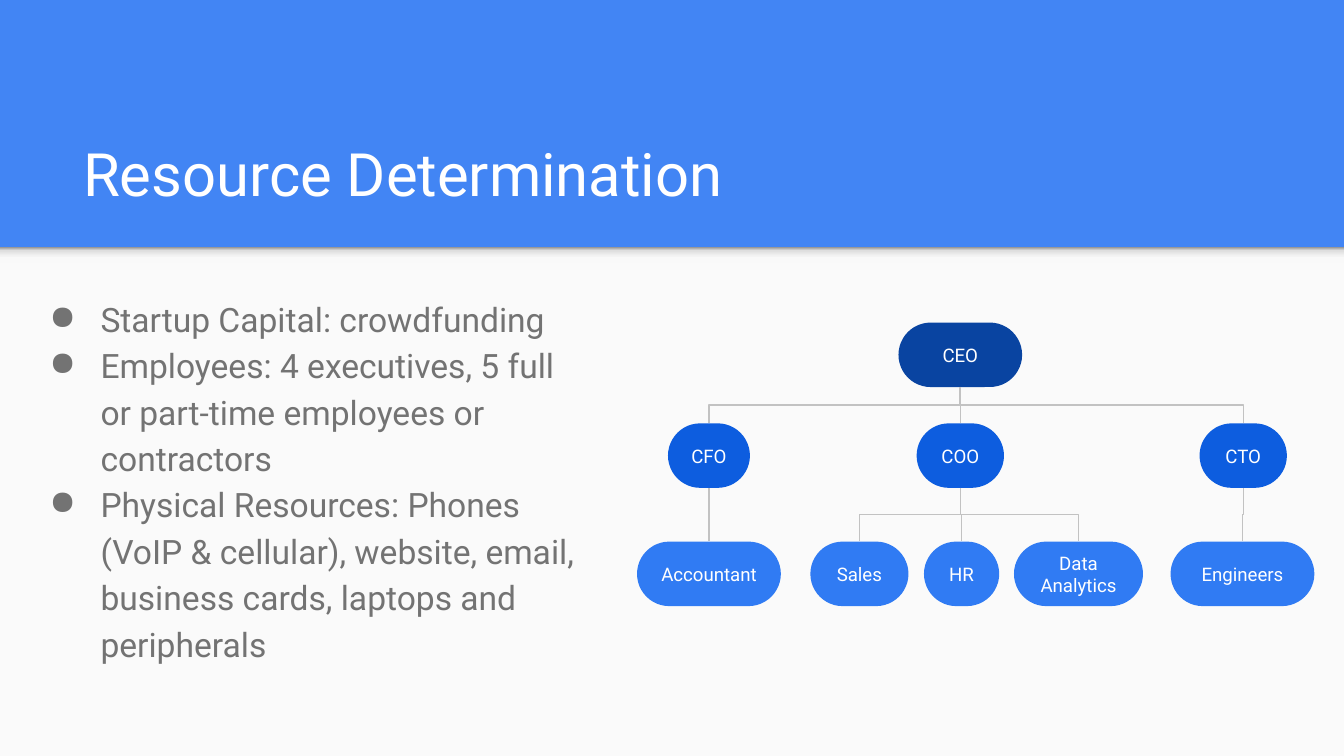
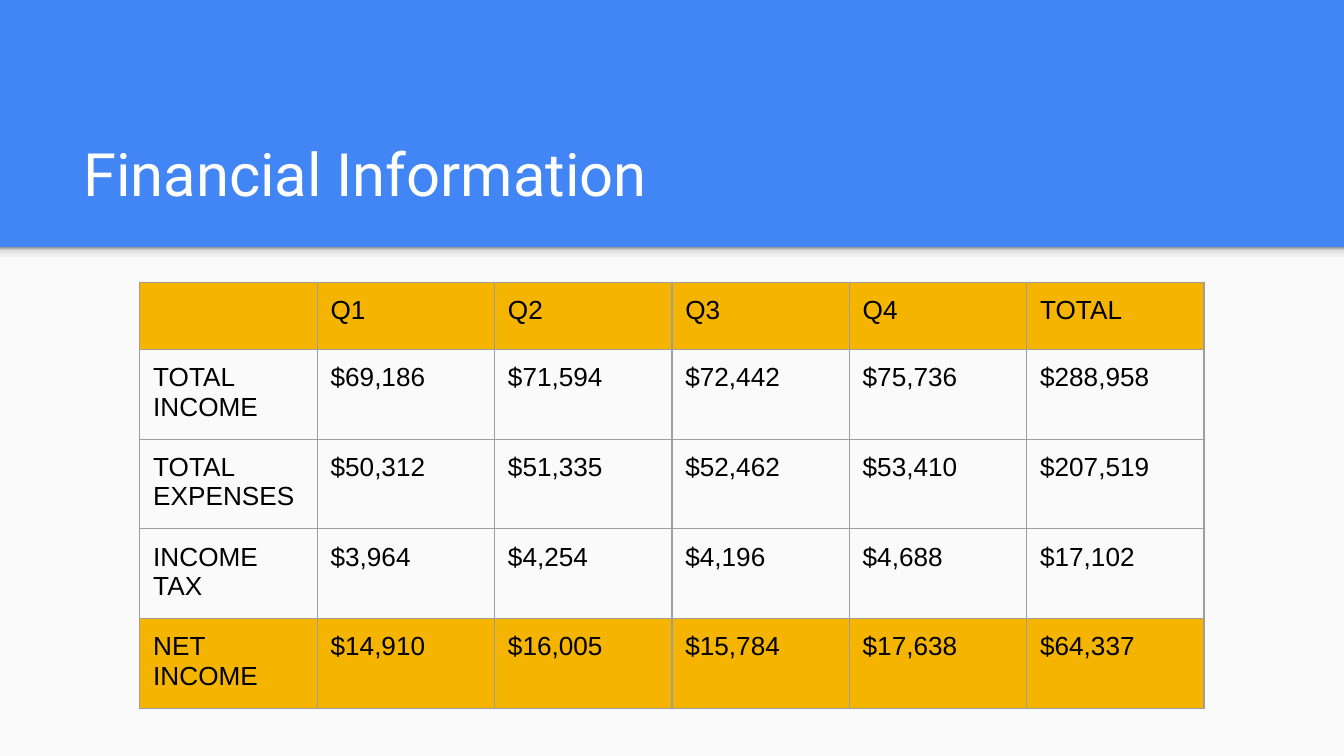
from lxml import etree
from pptx import Presentation
from pptx.dml.color import RGBColor
from pptx.enum.shapes import MSO_CONNECTOR, MSO_SHAPE
from pptx.enum.text import MSO_ANCHOR, PP_ALIGN
from pptx.oxml.ns import qn
from pptx.util import Inches, Pt

RECTANGLE, PILL = MSO_SHAPE.RECTANGLE, MSO_SHAPE.ROUNDED_RECTANGLE
ELBOW = MSO_CONNECTOR.ELBOW
TOP, MIDDLE, BOTTOM = MSO_ANCHOR.TOP, MSO_ANCHOR.MIDDLE, MSO_ANCHOR.BOTTOM
LEFT, CENTER = PP_ALIGN.LEFT, PP_ALIGN.CENTER

# Grid: 100 columns across, square cells, 16:9 slide
UNIT = Inches(0.1)
WIDTH = 100 * UNIT
HEIGHT = WIDTH * 9 // 16
BAND_BOTTOM = 18.4

BLUE, PAPER, WHITE, GREY = "4285F4", "FAFAFA", "FFFFFF", "737373"
GOLD, BORDER, CONNECTOR_GREY = "F4B400", "9E9E9E", "C2C2C2"
SHADOW_STOPS = [(0, "F9F9F9"), (36, "F9F9F9"), (80, "DEDEDE"), (100, "999999")]


def color(value):
    return RGBColor.from_string(value)


def write(frame, lines, anchor, align, size, name, ink):
    layout = {"word_wrap": True, "vertical_anchor": anchor, "margin_left": UNIT,
              "margin_right": UNIT, "margin_top": UNIT, "margin_bottom": UNIT}
    for key, value in layout.items():
        setattr(frame, key, value)
    for number, line in enumerate(lines):
        para = frame.add_paragraph() if number else frame.paragraphs[0]
        para.alignment = align
        span = para.add_run()
        span.text = line
        for key, value in {"size": Pt(size), "name": name}.items():
            setattr(span.font, key, value)
        span.font.color.rgb = color(ink)


deck = Presentation()
deck.slide_width, deck.slide_height = WIDTH, HEIGHT

# Shared look: blue band, paper area, soft shadow, title
pages = []
for title in ["Resource Determination", "Financial Information"]:
    page = deck.slides.add_slide(deck.slide_layouts[6])
    page.background.fill.solid()
    page.background.fill.fore_color.rgb = color(BLUE)
    edge = int(BAND_BOTTOM * UNIT)
    paper = page.shapes.add_shape(RECTANGLE, 0, edge, WIDTH, HEIGHT - edge)
    paper.fill.solid()
    paper.fill.fore_color.rgb = color(PAPER)
    shade = page.shapes.add_shape(RECTANGLE, 0, edge, WIDTH, int(1.2 * UNIT))
    shade.fill.gradient()
    shade.fill.gradient_angle = 90
    stops = next(shade._element.spPr.iter(qn("a:gsLst")))
    for stop in list(stops):
        stops.remove(stop)
    for share, tone in SHADOW_STOPS:
        stop = etree.SubElement(stops, qn("a:gs"), pos=str(share * 1000))
        etree.SubElement(stop, qn("a:srgbClr"), val=tone)
    for part in (paper, shade):
        part.line.fill.background()
        part.shadow.inherit = False
    box = page.shapes.add_textbox(int(5.2 * UNIT), int(8.1 * UNIT),
                                  int(89.9 * UNIT), int(8.4 * UNIT))
    write(box.text_frame, [title], BOTTOM, LEFT, 32, "Roboto", WHITE)
    pages.append(page)
resources, finances = pages

# Resource list
box = resources.shapes.add_textbox(int(1.5 * UNIT), int(20.8 * UNIT),
                                   int(42.6 * UNIT), int(29.6 * UNIT))
write(box.text_frame, [
    "Startup Capital: crowdfunding",
    "Employees: 4 executives, 5 full or part-time employees or contractors",
    "Physical Resources: Phones (VoIP & cellular), website, email, "
    "business cards, laptops and peripherals",
], TOP, LEFT, 18, "Roboto", GREY)
for para in box.text_frame.paragraphs:
    para.line_spacing = 1.15
    properties = para._p.get_or_add_pPr()
    properties.set("marL", str(5 * UNIT))
    properties.set("indent", str(-int(3.8 * UNIT)))
    bullet_color = etree.SubElement(properties, qn("a:buClr"))
    etree.SubElement(bullet_color, qn("a:srgbClr"), val=GREY)
    etree.SubElement(properties, qn("a:buChar"), char="●")

# Organisation chart: level top and fill, then role, centre, width, manager
LEVELS = [
    (24, "0944A1", [("CEO", 71.45, 9.2, None)]),
    (31.5, "0D5DDF", [("CFO", 52.75, 6.1, "CEO"), ("COO", 71.45, 6.5, "CEO"),
                      ("CTO", 92.5, 6.5, "CEO")]),
    (40.3, "307BF3", [("Accountant", 52.75, 10.7, "CFO"), ("Sales", 63.95, 7.3, "COO"),
                      ("HR", 71.55, 5.6, "COO"), ("Data Analytics", 80.25, 9.6, "COO"),
                      ("Engineers", 92.45, 10.7, "CTO")]),
]
PILL_HEIGHT = int(4.8 * UNIT)
pills = {}
for top, tone, roles in LEVELS:
    for role, center, width, manager in roles:
        pill = resources.shapes.add_shape(PILL, int((center - width / 2) * UNIT),
                                          int(top * UNIT), int(width * UNIT), PILL_HEIGHT)
        pill.adjustments[0] = 0.5
        pill.fill.solid()
        pill.fill.fore_color.rgb = color(tone)
        pill.line.fill.background()
        pill.shadow.inherit = False
        write(pill.text_frame, [role], MIDDLE, CENTER, 10, "Roboto", WHITE)
        pills[role] = pill
        if manager is None:
            continue

        # Elbow turned a quarter so that it leaves downwards
        boss = pills[manager]
        start_x, end_x = boss.left + boss.width // 2, pill.left + pill.width // 2
        start_y, end_y = boss.top + boss.height, pill.top
        drop, reach = end_y - start_y, abs(end_x - start_x)
        link = resources.shapes.add_connector(ELBOW, start_x, start_y, end_x, end_y)
        link.begin_connect(boss, 2)
        link.end_connect(pill, 0)
        turned = {"left": (start_x + end_x - drop) // 2, "width": drop,
                  "top": (start_y + end_y - reach) // 2, "height": reach}
        for key, value in turned.items():
            setattr(link, key, value)
        rightward = end_x > start_x
        frame = link._element.spPr.find(qn("a:xfrm"))
        frame.set("rot", str((270 if rightward else 90) * 60000))
        frame.set("flipH", "1" if rightward else "0")
        frame.set("flipV", "0")
        link.line.color.rgb = color(CONNECTOR_GREY)
        link.line.width = Pt(0.75)
        etree.SubElement(link._element.spPr, qn("a:effectLst"))

# Quarterly figures
FIGURES = [
    ["", "Q1", "Q2", "Q3", "Q4", "TOTAL"],
    ["TOTAL INCOME", "$69,186", "$71,594", "$72,442", "$75,736", "$288,958"],
    ["TOTAL EXPENSES", "$50,312", "$51,335", "$52,462", "$53,410", "$207,519"],
    ["INCOME TAX", "$3,964", "$4,254", "$4,196", "$4,688", "$17,102"],
    ["NET INCOME", "$14,910", "$16,005", "$15,784", "$17,638", "$64,337"],
]
GOLD_ROWS = (0, len(FIGURES) - 1)
row_count, column_count = len(FIGURES), len(FIGURES[0])
table = finances.shapes.add_table(
    row_count, column_count, int(10.4 * UNIT), int(21 * UNIT),
    int(13.2 * UNIT) * column_count, int(4.9 * UNIT) * row_count).table
table.first_row = table.horz_banding = False
for row, values in enumerate(FIGURES):
    for column, value in enumerate(values):
        cell = table.cell(row, column)
        write(cell.text_frame, [value], TOP, LEFT, 14, "Arial", "000000")
        for side in ("left", "right", "top", "bottom"):
            setattr(cell, "margin_" + side, UNIT)
        properties = cell._tc.get_or_add_tcPr()
        for side in ("lnL", "lnR", "lnT", "lnB"):
            line = etree.SubElement(properties, qn("a:" + side), w=str(Pt(0.75)))
            paint = etree.SubElement(line, qn("a:solidFill"))
            etree.SubElement(paint, qn("a:srgbClr"), val=BORDER)
        if row in GOLD_ROWS:
            cell.fill.solid()
            cell.fill.fore_color.rgb = color(GOLD)
        else:
            cell.fill.background()

deck.save("out.pptx")
